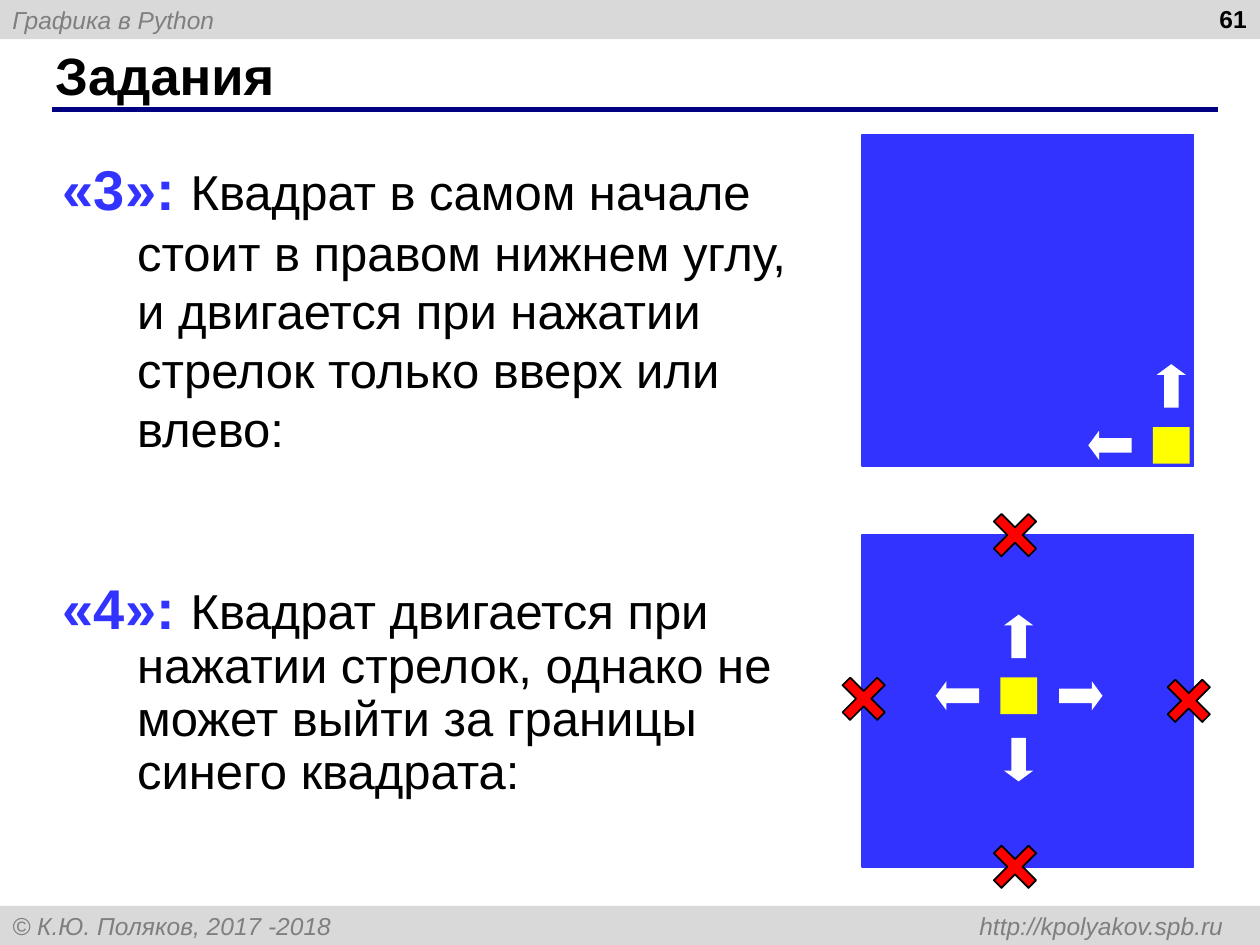
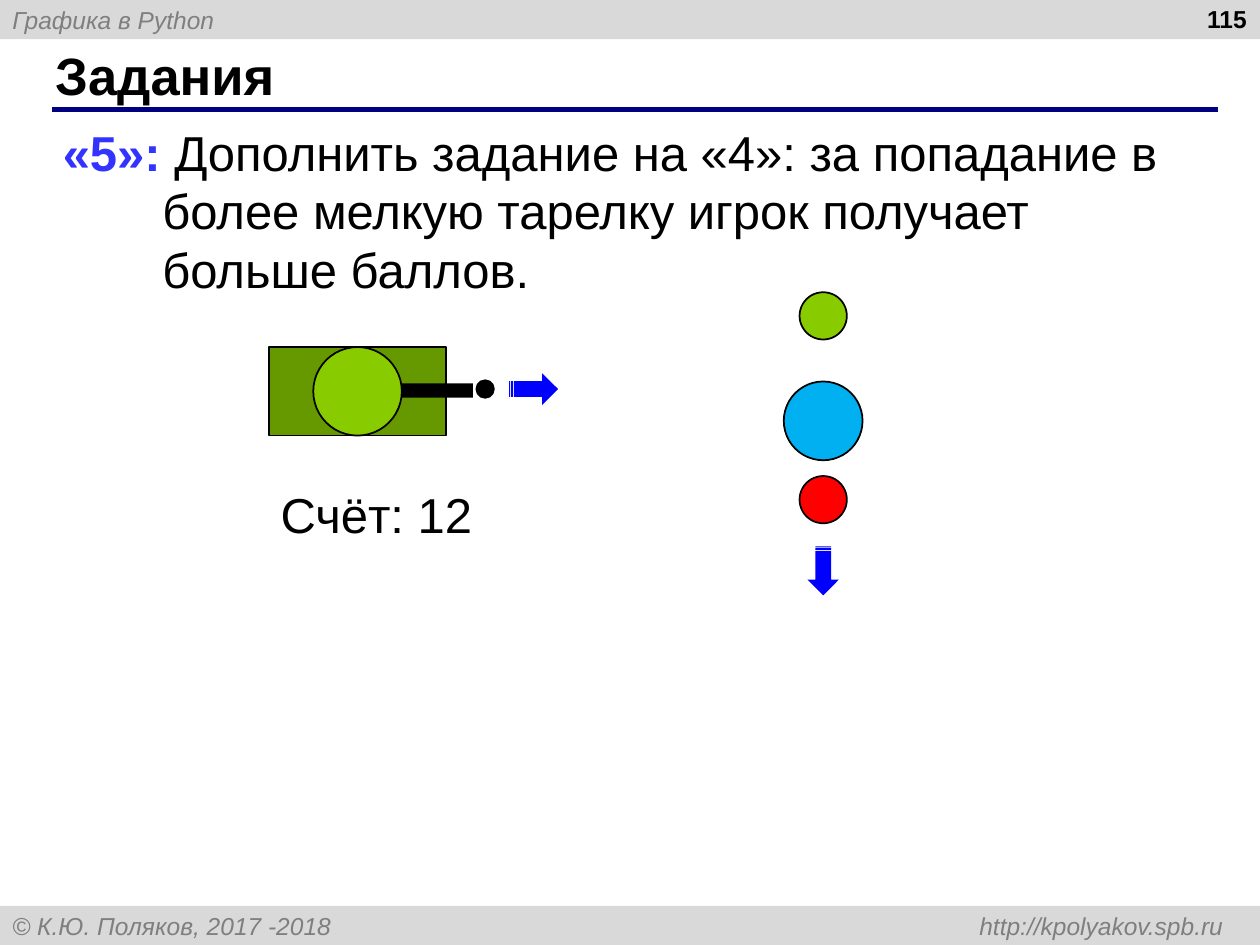
import pptx
import pptx.dml.color
import pptx.enum.shapes
import pptx.enum.text
import pptx.oxml
import pptx.oxml.ns
import pptx.util

Pt = pptx.util.Pt
RGB = pptx.dml.color.RGBColor
MSO = pptx.enum.shapes.MSO_SHAPE
ALIGN = pptx.enum.text.PP_ALIGN
ANCHOR = pptx.enum.text.MSO_ANCHOR

FONT = "Arial"
BLACK = RGB(0x00, 0x00, 0x00)
WHITE = RGB(0xFF, 0xFF, 0xFF)
BAND = RGB(0xD9, 0xD9, 0xD9)
GRAY = RGB(0x7F, 0x7F, 0x7F)
NAVY = RGB(0x00, 0x00, 0x80)
BLUE = RGB(0x33, 0x33, 0xFF)
ARROW_BLUE = RGB(0x00, 0x00, 0xFF)
SKY = RGB(0x00, 0xB0, 0xF0)
YELLOW = RGB(0xFF, 0xFF, 0x00)
RED = RGB(0xFF, 0x00, 0x00)
GREEN = RGB(0x66, 0x99, 0x00)
LIME = RGB(0x88, 0xCC, 0x00)

WIDTH, HEIGHT = 720, 540
BAND_H = 22.4
STAGE = 189.5  # side of the blue square
# Direction: rotation of a left arrow, offset from the yellow square
ARROWS = {
    "left": (0, -35, 0),
    "up": (90, 0, -34),
    "right": (180, 35.5, 0),
    "down": (270, 0, 36.5),
}


# Basic parts
def add_shape(slide, kind, x, y, w, h, fill, line=None, rotation=0, adj=()):
    sp = slide.shapes.add_shape(kind, Pt(x), Pt(y), Pt(w), Pt(h))
    sp.shadow.inherit = False
    sp.fill.solid()
    sp.fill.fore_color.rgb = fill
    if line is None:
        sp.line.fill.background()
    else:
        sp.line.color.rgb = line
        sp.line.width = Pt(1)
    sp.rotation = rotation
    for i, value in enumerate(adj):
        sp.adjustments[i] = value
    return sp


def add_centred(slide, kind, cx, cy, w, h, fill, **style):
    return add_shape(slide, kind, cx - w / 2, cy - h / 2, w, h, fill, **style)


def add_run(p, text, size, color=BLACK, bold=False, italic=False):
    r = p.add_run()
    r.text = text
    r.font.name = FONT
    r.font.size = Pt(size)
    r.font.color.rgb = color
    r.font.bold = bold
    r.font.italic = italic


def add_text(slide, x, y, w, h, wrap=True):
    sp = slide.shapes.add_textbox(Pt(x), Pt(y), Pt(w), Pt(h))
    sp.text_frame.word_wrap = wrap
    return sp.text_frame


def add_task(p, mark, text, mark_size, indent):
    pPr = p._p.get_or_add_pPr()
    pPr.set("marL", str(Pt(indent)))
    pPr.set("indent", str(-Pt(indent)))
    add_run(p, mark + " ", mark_size, BLUE, bold=True)
    add_run(p, text, 28)


# Bands, title and rule shared by all slides
def add_band(slide, y, text):
    sp = add_shape(slide, MSO.RECTANGLE, 0, y, WIDTH, BAND_H, BAND)
    tf = sp.text_frame
    tf.word_wrap = True
    tf.vertical_anchor = ANCHOR.MIDDLE
    p = tf.paragraphs[0]
    p.alignment = ALIGN.LEFT
    tabs = pptx.oxml.parse_xml(
        '<a:tabLst %s><a:tab pos="%d" algn="r"/></a:tabLst>'
        % (pptx.oxml.ns.nsdecls("a"), Pt(692))
    )
    p._p.get_or_add_pPr().append(tabs)
    add_run(p, text, 14, GRAY, italic=True)


def add_frame(prs, title, number):
    slide = prs.slides.add_slide(prs.slide_layouts[6])
    add_band(slide, 0, "Графика в Python")
    add_band(slide, HEIGHT - BAND_H, "© К.Ю. Поляков, 2017 -2018\thttp://kpolyakov.spb.ru")

    rule = slide.shapes.add_connector(
        pptx.enum.shapes.MSO_CONNECTOR.STRAIGHT, Pt(29.6), Pt(62.6), Pt(696), Pt(62.6)
    )
    rule.line.color.rgb = NAVY
    rule.line.width = Pt(3)
    rule._element.spPr.append(
        pptx.oxml.parse_xml("<a:effectLst %s/>" % pptx.oxml.ns.nsdecls("a"))
    )

    tf = add_text(slide, 24.5, 24, 659.5, 37.5)
    tf.vertical_anchor = ANCHOR.MIDDLE
    add_run(tf.paragraphs[0], title, 30, bold=True)

    p = add_text(slide, 551.5, -1.4, 168, 37.5).paragraphs[0]
    p.alignment = ALIGN.RIGHT
    add_run(p, str(number), 14, bold=True)
    return slide


# Blue field with a yellow square and its moves
def add_stage(slide, x, y, square, moves, crosses=()):
    add_shape(slide, MSO.RECTANGLE, x, y, STAGE, STAGE, BLUE, line=BLUE)
    cx, cy = x + square[0], y + square[1]
    add_centred(slide, MSO.RECTANGLE, cx, cy, 21, 21, YELLOW)
    for move in moves:
        rotation, dx, dy = ARROWS[move]
        add_centred(slide, MSO.LEFT_ARROW, cx + dx, cy + dy, 24.8, 16.6, WHITE,
                    rotation=rotation, adj=(0.5, 0.37))
    for dx, dy in crosses:
        add_centred(slide, MSO.CROSS, x + dx, y + dy, 28, 28, RED,
                    line=BLACK, rotation=45, adj=(0.39,))


# Tank that fires to the right
def add_tank(slide, x, y):
    add_shape(slide, MSO.RECTANGLE, x, y, 101.3, 50.6, GREEN, line=BLACK)
    add_shape(slide, MSO.RECTANGLE, x + 51.5, y + 20.7, 65, 8.2, BLACK)
    add_shape(slide, MSO.OVAL, x + 25.3, y, 50.6, 50.6, LIME, line=BLACK)
    add_centred(slide, MSO.OVAL, x + 123.5, y + 24, 10, 10, BLACK, line=BLACK)
    add_motion_arrow(slide, x + 151.2, y + 24)


def add_motion_arrow(slide, cx, cy, rotation=0):
    add_centred(slide, MSO.STRIPED_RIGHT_ARROW, cx, cy, 28, 18, ARROW_BLUE,
                rotation=rotation, adj=(0.5, 0.5))


# Column of plates that fall down
def add_plates(slide, cx, y):
    for dy, size, color in ((13.5, 27, LIME), (73.5, 45, SKY), (118.5, 27, RED)):
        add_centred(slide, MSO.OVAL, cx, y + dy, size, size, color, line=BLACK)
    add_motion_arrow(slide, cx, y + 159.2, rotation=90)


def build_square_tasks(prs):
    slide = add_frame(prs, "Задания", 61)
    tf = add_text(slide, 28.8, 85, 428.4, 376.5)
    add_task(tf.paragraphs[0], "«3»:",
             "Квадрат в самом начале стоит в правом нижнем углу, и двигается "
             "при нажатии стрелок только вверх или влево:", 32, 42.5)
    p = tf.add_paragraph()
    p.line_spacing = 0.9
    p.space_before = Pt(70.6)
    add_task(p, "«4»:",
             "Квадрат двигается при нажатии стрелок, однако не может выйти "
             "за границы синего квадрата:", 32, 42.5)

    add_stage(slide, 492.5, 77, (176.8, 177.5), ("left", "up"))
    add_stage(slide, 492.5, 305.8, (89.6, 91.8), ARROWS,
              crosses=((1, 93.5), (186.8, 94.7), (87.5, 0), (87.5, STAGE)))


def build_plate_task(prs):
    slide = add_frame(prs, "Задания", 115)
    tf = add_text(slide, 28.8, 66.2, 662.4, 159)
    add_task(tf.paragraphs[0], "«5»:",
             "Дополнить задание на «4»: за попадание в более мелкую тарелку "
             "игрок получает больше баллов.", 28, 56.9)
    add_tank(slide, 153.7, 198.3)
    add_plates(slide, 470.4, 167)
    tf = add_text(slide, 153.2, 273.6, 123.8, 41, wrap=False)
    add_run(tf.paragraphs[0], "Счёт: 12", 28)


def main():
    prs = pptx.Presentation()
    prs.slide_width, prs.slide_height = Pt(WIDTH), Pt(HEIGHT)
    build_square_tasks(prs)
    build_plate_task(prs)
    prs.save("out.pptx")


if __name__ == "__main__":
    main()
